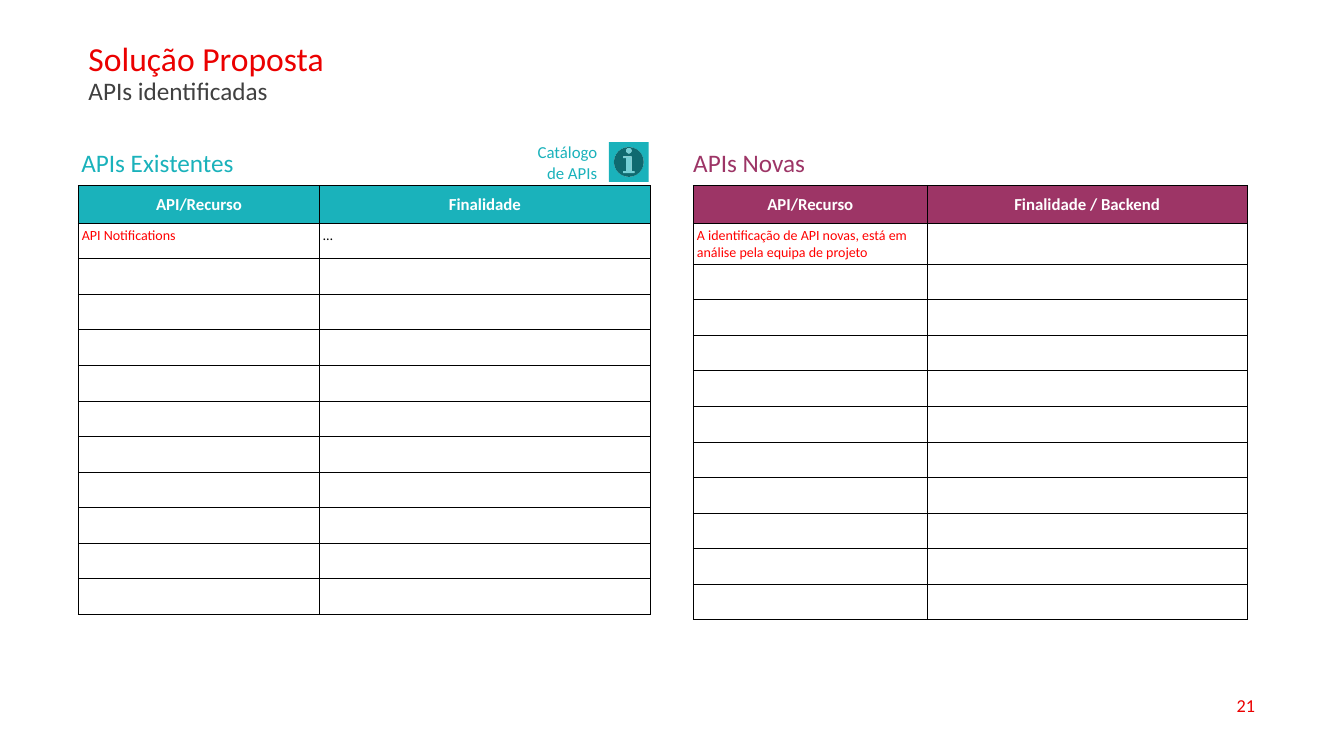
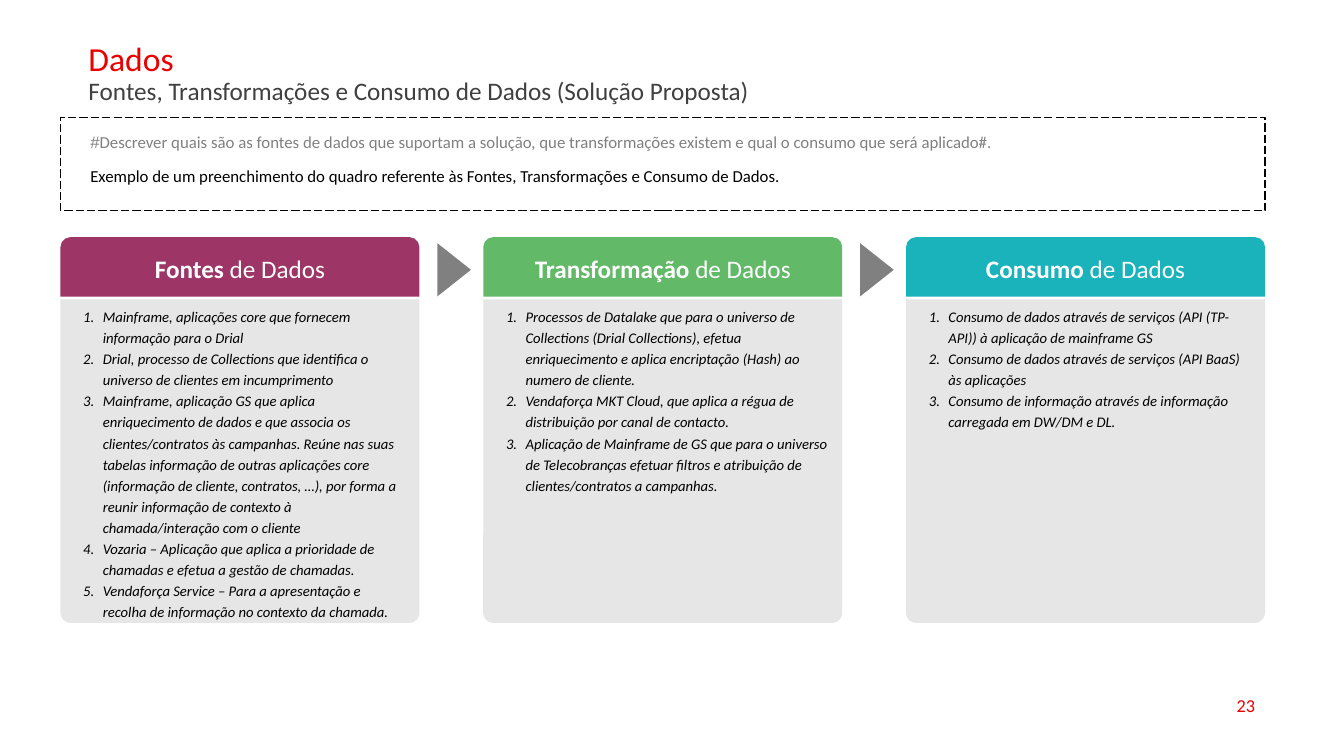
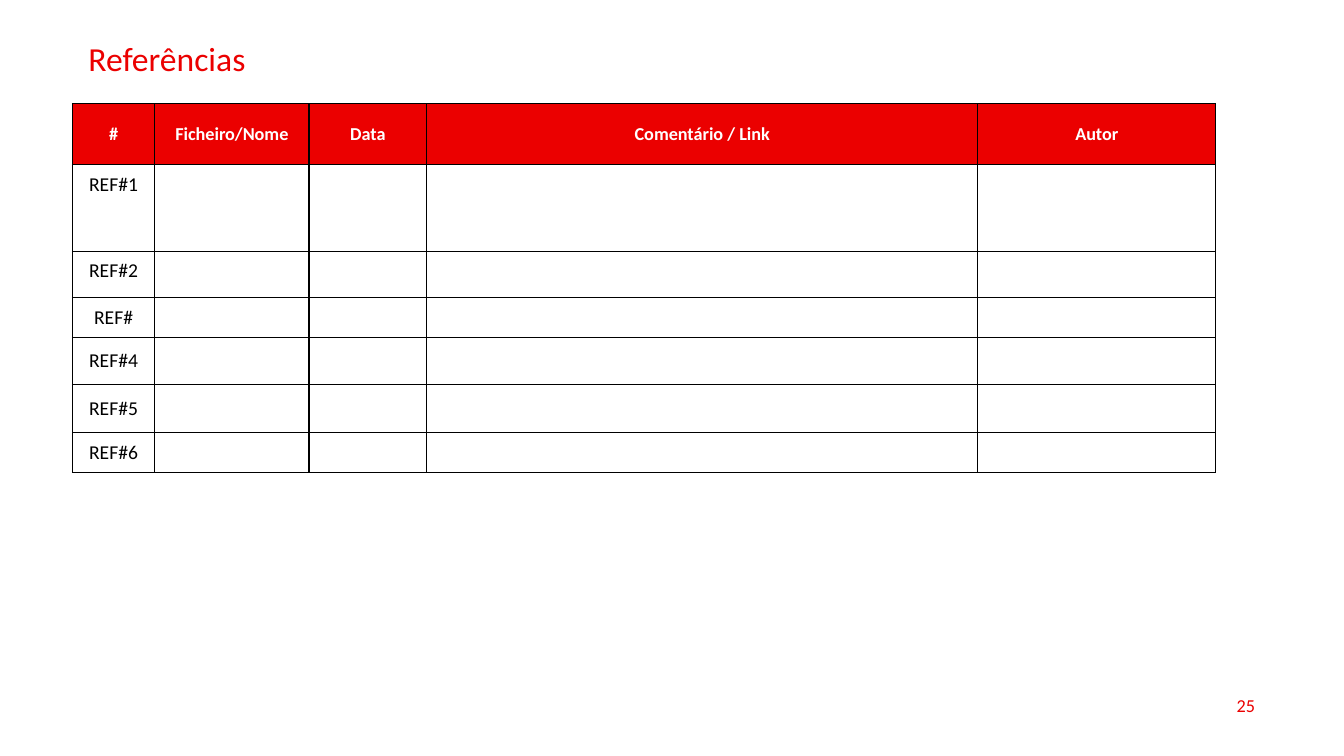
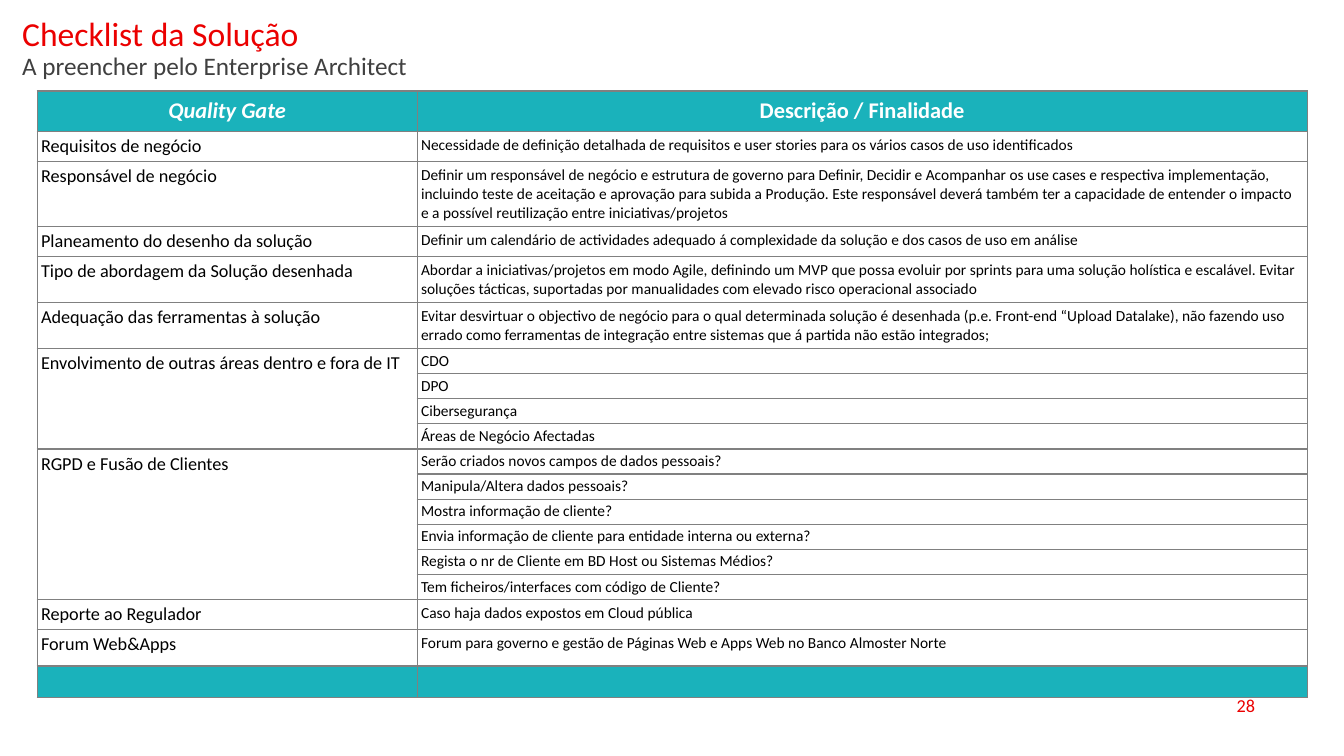
import dataclasses

import lxml.etree
import pptx
import pptx.dml.color
import pptx.enum.dml
import pptx.enum.shapes
import pptx.enum.text
import pptx.oxml.ns
import pptx.util

Pt = pptx.util.Pt
ALIGN = pptx.enum.text.PP_ALIGN
ANCHOR = pptx.enum.text.MSO_ANCHOR
SHAPE = pptx.enum.shapes.MSO_SHAPE
qn = pptx.oxml.ns.qn


@dataclasses.dataclass(frozen=True)
class Theme:
    font: str = "Calibri"
    red: str = "EB0000"
    alert: str = "FF0000"
    teal: str = "1AB2BB"
    plum: str = "9D3566"
    green: str = "62B967"
    black: str = "000000"
    white: str = "FFFFFF"
    dark: str = "404040"
    gray: str = "808080"
    pale: str = "E7E6E6"
    title: float = 24
    large: float = 18
    gate: float = 16
    ref: float = 14
    page: float = 13
    base: float = 12
    small: float = 11
    item: float = 10.5
    tiny: float = 10


THEME = Theme()


def rgb(color):
    return pptx.dml.color.RGBColor.from_string(color)


def style(para, size, color, bold=False, italic=False, align=ALIGN.LEFT):
    para.alignment = align
    font = para.font
    font.name, font.size = THEME.font, Pt(size)
    font.bold, font.italic = bold, italic
    font.color.rgb = rgb(color)


def label(slide, box, text, size, color, align=ALIGN.LEFT, anchor=ANCHOR.TOP):
    frame = slide.shapes.add_textbox(*map(Pt, box)).text_frame
    frame.word_wrap = True
    frame.vertical_anchor = anchor
    frame.text = text
    style(frame.paragraphs[0], size, color, align=align)


def block(slide, kind, box, color):
    shape = slide.shapes.add_shape(kind, *map(Pt, box))
    shape.shadow.inherit = False
    shape.fill.solid()
    shape.fill.fore_color.rgb = rgb(color)
    shape.line.fill.background()
    return shape


def page(deck, number, title, sub=None, left=56, top=26.6):
    """Add a slide with its title, optional subtitle and page number."""
    slide = deck.slides.add_slide(deck.slide_layouts[5])
    head = slide.shapes.title
    head.left, head.top, head.width, head.height = map(Pt, (left, top, 840, 52))
    frame = head.text_frame
    frame.auto_size = pptx.enum.text.MSO_AUTO_SIZE.NONE
    frame.vertical_anchor = ANCHOR.TOP
    para = frame.paragraphs[0]
    style(para, THEME.title, THEME.red)
    para.line_spacing = 0.9
    para.add_run().text = title
    if sub:
        para.add_line_break()
        run = para.add_run()
        run.text = sub
        run.font.size = Pt(THEME.large)
        run.font.color.rgb = rgb(THEME.dark)
    label(slide, (687.6, 489, 216, 28.8), str(number), THEME.page, THEME.red,
          ALIGN.RIGHT, ANCHOR.MIDDLE)
    return slide


def border(cell, color, width):
    props = cell._tc.get_or_add_tcPr()
    for side in ("lnL", "lnR", "lnT", "lnB"):
        line = lxml.etree.SubElement(props, qn("a:" + side), w=str(Pt(width)))
        fill = lxml.etree.SubElement(line, qn("a:solidFill"))
        lxml.etree.SubElement(fill, qn("a:srgbClr"), val=color)


def grid(slide, left, top, cols, rows, size, inset=2.5, line=(THEME.black, 0.75)):
    """Add an empty ruled table; cols and rows list widths and heights."""
    table = slide.shapes.add_table(len(rows), len(cols), Pt(left), Pt(top),
                                   Pt(sum(cols)), Pt(sum(rows))).table
    table.first_row = table.horz_banding = False
    for col, width in zip(table.columns, cols):
        col.width = Pt(width)
    for row, height in zip(table.rows, rows):
        row.height = Pt(height)
    for cell in table.iter_cells():
        cell.margin_left = cell.margin_right = Pt(inset)
        cell.margin_top = cell.margin_bottom = Pt(inset)
        border(cell, *line)
        cell.fill.background()
        style(cell.text_frame.paragraphs[0], size, THEME.black)
    return table


def write(cell, text, size, color=THEME.black, anchor=ANCHOR.TOP, **look):
    cell.text = text
    cell.vertical_anchor = anchor
    style(cell.text_frame.paragraphs[0], size, color, **look)


def paint(row, color):
    for cell in row.cells:
        cell.fill.solid()
        cell.fill.fore_color.rgb = rgb(color)


def header(table, names, size, color):
    paint(table.rows[0], color)
    for cell, name in zip(table.rows[0].cells, names):
        write(cell, name, size, THEME.white, ANCHOR.MIDDLE, bold=True, align=ALIGN.CENTER)


def panel(slide, left, shift, title, color, cols, first, names, entry):
    """Place a heading, shifted from the table's left edge, over an API table."""
    label(slide, (left + shift, 101.5, 200, 29), title, THEME.large, color)
    table = grid(slide, left, 132.5, cols, [27, first] + [25.4] * 10, THEME.tiny)
    header(table, names, THEME.base, color)
    for cell, (text, ink) in zip(table.rows[1].cells, entry):
        write(cell, text, THEME.tiny, ink)


def apis(deck):
    slide = page(deck, 21, "Solução Proposta", "APIs identificadas")
    panel(slide, 56, -5, "APIs Existentes", THEME.teal, (172.3, 236.2), 25.4,
          ("API/Recurso", "Finalidade"),
          [("API Notifications", THEME.alert), ("…", THEME.black)])
    panel(slide, 495.3, -7.2, "APIs Novas", THEME.plum, (167.1, 228.4), 29.3,
          ("API/Recurso", "Finalidade / Backend"),
          [("A identificação de API novas, está em análise pela equipa de projeto",
            THEME.alert)])
    block(slide, SHAPE.ACTION_BUTTON_INFORMATION, (435, 101.5, 28.4, 28.4), THEME.teal)
    label(slide, (373.7, 98, 60, 36), "Catálogo de APIs", THEME.base, THEME.teal,
          ALIGN.RIGHT)


def number(para, left, hang):
    props = para._p.get_or_add_pPr()
    props.set("marL", str(Pt(left)))
    props.set("indent", str(Pt(-hang)))
    lxml.etree.SubElement(props, qn("a:buFont"), typeface="+mj-lt")
    lxml.etree.SubElement(props, qn("a:buAutoNum"), type="arabicPeriod")


def stage(slide, left, top, width, name, color, items):
    """Draw a data stage: a coloured header over a numbered list."""
    head = block(slide, SHAPE.ROUND_2_SAME_RECTANGLE, (left, top, width, 42.5), color)
    para = head.text_frame.paragraphs[0]
    style(para, THEME.large, THEME.white, align=ALIGN.CENTER)
    strong = para.add_run()
    strong.text, strong.font.bold = name, True
    para.add_run().text = " de Dados"

    body = block(slide, SHAPE.ROUND_2_SAME_RECTANGLE,
                 (left, top + 44.4, width, 231.2), THEME.pale)
    body.adjustments[0], body.adjustments[1] = 0, 0.032
    frame = body.text_frame
    frame.vertical_anchor = ANCHOR.TOP
    frame.text = "\n".join(items)
    for para in frame.paragraphs:
        number(para, 21, 14)
        style(para, THEME.item, THEME.black, italic=True)
        para.line_spacing = 1.2


def brief(slide, box):
    """Draw the dashed box with the instruction and its example."""
    shape = block(slide, SHAPE.RECTANGLE, box, THEME.white)
    shape.line.color.rgb = rgb(THEME.black)
    shape.line.width = Pt(0.75)
    shape.line.dash_style = pptx.enum.dml.MSO_LINE.LONG_DASH
    frame = shape.text_frame
    frame.vertical_anchor = ANCHOR.TOP
    guide, sample = frame.paragraphs[0], frame.add_paragraph()
    for para, color in ((guide, THEME.gray), (sample, THEME.black)):
        para._p.get_or_add_pPr().set("marL", str(Pt(14.2)))
        style(para, THEME.base, color, align=ALIGN.JUSTIFY)
        para.line_spacing = 1.5
    mark = guide.add_run()
    mark.text, mark.font.name = "#", "Arial"
    guide.add_run().text = (
        "Descrever quais são as fontes de dados que suportam a solução, que "
        "transformações existem e qual o consumo que será aplicado#.")
    sample.text = ("Exemplo de um preenchimento do quadro referente às Fontes, "
                   "Transformações e Consumo de Dados.")
    sample.space_before = Pt(2.4)


STAGES = [
    ("Fontes", THEME.plum, [
        "Mainframe, aplicações core que fornecem informação para o Drial",
        "Drial, processo de Collections que identifica o universo de clientes em "
        "incumprimento",
        "Mainframe, aplicação GS que aplica enriquecimento de dados e que associa os "
        "clientes/contratos às campanhas. Reúne nas suas tabelas informação de outras "
        "aplicações core (informação de cliente, contratos, …), por forma a reunir "
        "informação de contexto à chamada/interação com o cliente",
        "Vozaria – Aplicação que aplica a prioridade de chamadas e efetua a gestão de "
        "chamadas.",
        "Vendaforça Service – Para a apresentação e recolha de informação no contexto "
        "da chamada.",
    ]),
    ("Transformação", THEME.green, [
        "Processos de Datalake que para o universo de Collections (Drial Collections), "
        "efetua enriquecimento e aplica encriptação (Hash) ao numero de cliente.",
        "Vendaforça MKT Cloud, que aplica a régua de distribuição por canal de contacto.",
        "Aplicação de Mainframe de GS que para o universo de Telecobranças efetuar "
        "filtros e atribuição de clientes/contratos a campanhas.",
    ]),
    ("Consumo", THEME.teal, [
        "Consumo de dados através de serviços (API (TP-API)) à aplicação de mainframe GS",
        "Consumo de dados através de serviços (API BaaS) às aplicações",
        "Consumo de informação através de informação carregada em DW/DM e DL.",
    ]),
]


def data(deck):
    slide = page(deck, 23, "Dados",
                 "Fontes, Transformações e Consumo de Dados (Solução Proposta)")
    left, top, total, width = 43.2, 169.4, 860.4, 256.4
    brief(slide, (left, 83.7, total, 67))
    step = (total - width) / (len(STAGES) - 1)
    for i, (name, color, items) in enumerate(STAGES):
        spot = left + i * step
        stage(slide, spot, top, width, name, color, items)
        if i:
            middle = spot - (step - width) / 2 + 2
            arrow = block(slide, SHAPE.ISOSCELES_TRIANGLE,
                          (middle - 19, top + 11.3, 38, 24), THEME.gray)
            arrow.rotation = 90


def refs(deck):
    slide = page(deck, 25, "Referências")
    table = grid(slide, 51.8, 74.2, (58.7, 110.3, 84, 393.7, 170),
                 (43.2, 62, 33.2, 28.7, 33.2, 34.3, 28.7), THEME.page, 5.7,
                 (THEME.black, 1))
    header(table, ("#", "Ficheiro/Nome", "Data", "Comentário / Link", "Autor"),
           THEME.page, THEME.red)
    for row, mark in enumerate(("1", "2", "", "4", "5", "6"), 1):
        write(table.cell(row, 0), "REF#" + mark, THEME.ref, align=ALIGN.CENTER,
              anchor=ANCHOR.TOP if row < 4 else ANCHOR.MIDDLE)


GATES = [
    ("Requisitos de negócio", 21.4, [
        "Necessidade de definição detalhada de requisitos e user stories para os vários "
        "casos de uso identificados"]),
    ("Responsável de negócio", 46.4, [
        "Definir um responsável de negócio e estrutura de governo para Definir, Decidir e "
        "Acompanhar os use cases e respectiva implementação, incluindo teste de aceitação "
        "e aprovação para subida a Produção. Este responsável deverá também ter a "
        "capacidade de entender o impacto e a possível reutilização entre "
        "iniciativas/projetos"]),
    ("Planeamento do desenho da solução", 21.4, [
        "Definir um calendário de actividades adequado á complexidade da solução e dos "
        "casos de uso em análise"]),
    ("Tipo de abordagem da Solução desenhada", 32.9, [
        "Abordar a iniciativas/projetos em modo Agile, definindo um MVP que possa evoluir "
        "por sprints para uma solução holística e escalável. Evitar soluções tácticas, "
        "suportadas por manualidades com elevado risco operacional associado"]),
    ("Adequação das ferramentas à solução", 32.9, [
        "Evitar desvirtuar o objectivo de negócio para o qual determinada solução é "
        "desenhada (p.e. Front-end “Upload Datalake), não fazendo uso errado como "
        "ferramentas de integração entre sistemas que á partida não estão integrados;"]),
    ("Envolvimento de outras áreas dentro e fora de IT", 17.95, [
        "CDO", "DPO", "Cibersegurança", "Áreas de Negócio Afectadas"]),
    ("RGPD e Fusão de Clientes", 17.95, [
        "Serão criados novos campos de dados pessoais?",
        "Manipula/Altera dados pessoais?",
        "Mostra informação de cliente?",
        "Envia informação de cliente para entidade interna ou externa?",
        "Regista o nr de Cliente em BD Host ou Sistemas Médios?",
        "Tem ficheiros/interfaces com código de Cliente?"]),
    ("Reporte ao Regulador", 21.4, ["Caso haja dados expostos em Cloud pública"]),
    ("Forum Web&Apps", 26, [
        "Forum para governo e gestão de Páginas Web e Apps Web no Banco Almoster Norte"]),
]


def checks(deck):
    slide = page(deck, 28, "Checklist da Solução",
                 "A preencher pelo Enterprise Architect", 8.6, 9)
    rows = [height for _, height, notes in GATES for _ in notes]
    table = grid(slide, 26.6, 65, (271.4, 635.8), [29, *rows, 22.5], THEME.small,
                 2.8, (THEME.gray, 1))
    header(table, ("Quality Gate", "Descrição / Finalidade"), THEME.gate, THEME.teal)
    table.cell(0, 0).text_frame.paragraphs[0].font.italic = True
    paint(table.rows[len(rows) + 1], THEME.teal)
    row = 1
    for gate, _, notes in GATES:
        first = table.cell(row, 0)
        write(first, gate, THEME.page)
        if len(notes) > 1:
            first.merge(table.cell(row + len(notes) - 1, 0))
        for note in notes:
            cell = table.cell(row, 1)
            write(cell, note, THEME.small)
            if len(notes) > 1:
                cell.text_frame.paragraphs[0].line_spacing = 0.9
            row += 1


def main():
    deck = pptx.Presentation()
    deck.slide_width, deck.slide_height = Pt(960), Pt(540)
    for build in (apis, data, refs, checks):
        build(deck)
    deck.save("out.pptx")


if __name__ == "__main__":
    main()
